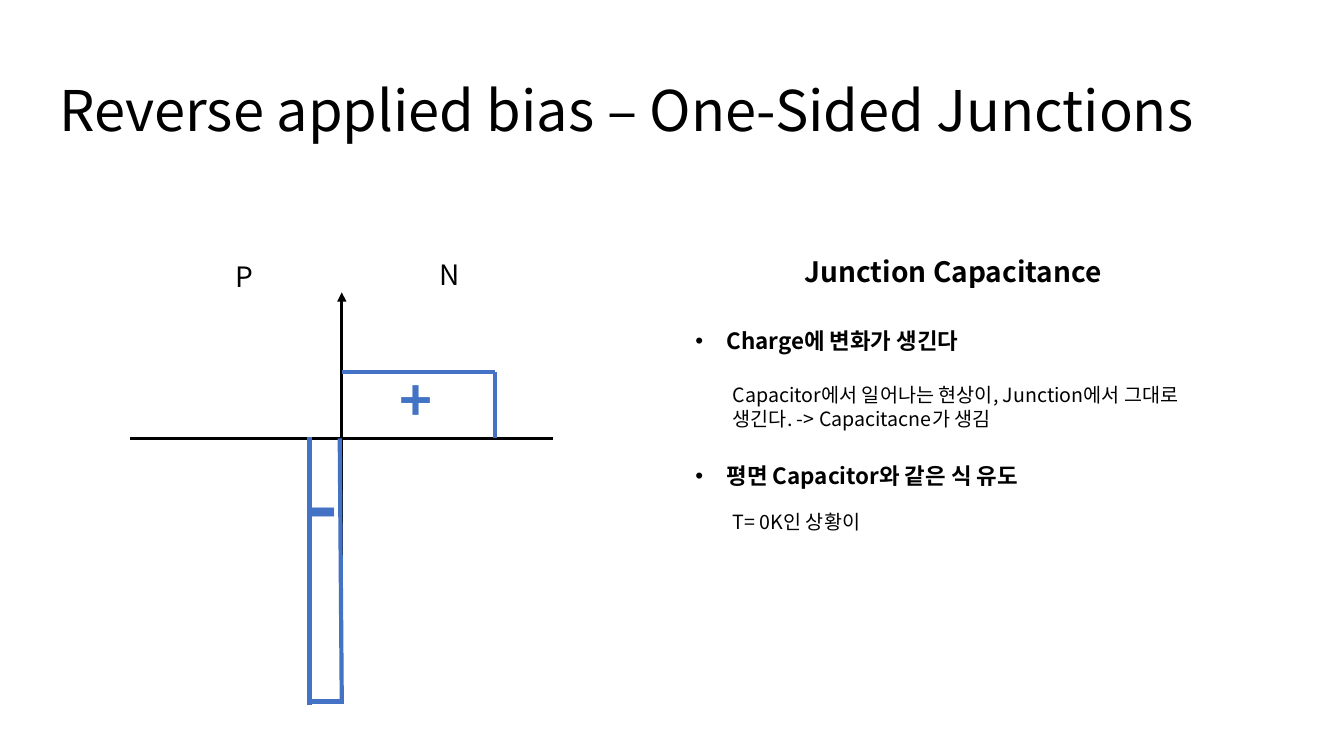
from dataclasses import dataclass

from lxml import etree
from pptx import Presentation
from pptx import util as u
from pptx.dml.color import RGBColor
from pptx.enum import shapes, text
from pptx.oxml.ns import qn

FONT = "Noto Sans CJK KR"
COLORS = {"ink": "000000", "charge": "4472C4"}
BULLET_INDENT = 0.31


@dataclass(frozen=True)
class Label:
    paragraphs: tuple[str, ...]
    left: float
    top: float
    width: float
    height: float
    size: int
    color: str = "ink"
    bold: bool = False
    bullets: bool = False
    centered: bool = False
    middle: bool = False
    line_spacing: float = 1.0
    gap: int = 0


@dataclass(frozen=True)
class Stroke:
    x1: float
    y1: float
    x2: float
    y2: float
    color: str = "charge"
    weight: float = 3
    arrow: bool = False


LABELS = (
    Label(("Reverse applied bias – One-Sided Junctions",),
          0.49, 0.4, 12.28, 1.45, 40, middle=True, line_spacing=0.9),
    Label(("Junction Capacitance",), 6.67, 2.48, 5.57, 0.44, 20,
          bold=True, centered=True),
    Label(("Charge에 변화가 생긴다", "평면 Capacitor와 같은 식 유도"),
          6.8, 3.2, 5.57, 2.26, 16, bold=True, bullets=True, gap=77),
    Label(("Capacitor에서 일어나는 현상이, Junction에서 그대로 생긴다. -> Capacitacne가 생김",),
          7.17, 3.75, 5.06, 0.57, 14),
    Label(("T= 0K인 상황이",), 7.17, 5.01, 5.06, 0.34, 14),
    Label(("+",), 3.86, 3.58, 0.49, 0.77, 40, "charge", bold=True),
    Label(("-",), 2.95, 4.44, 0.49, 1.11, 60, "charge", bold=True),
    Label(("P",), 2.24, 2.53, 0.38, 0.44, 20),
    Label(("N",), 4.26, 2.51, 0.38, 0.44, 20),
)

STROKES = (
    Stroke(1.29, 4.35, 5.48, 4.35, "ink", 2.25),
    Stroke(3.39, 5.98, 3.39, 2.9, "ink", 2.25, arrow=True),
    Stroke(3.07, 6.96, 3.41, 6.96),
    Stroke(3.39, 6.97, 3.37, 4.35),
    Stroke(3.39, 3.69, 4.91, 3.69),
    Stroke(4.91, 4.35, 4.91, 3.69),
    Stroke(3.07, 6.99, 3.07, 4.34),
)


def add_bullet(paragraph) -> None:
    properties = paragraph._p.get_or_add_pPr()
    properties.set("marL", str(u.Inches(BULLET_INDENT)))
    properties.set("indent", str(-u.Inches(BULLET_INDENT)))
    etree.SubElement(properties, qn("a:buFont"), typeface="Arial")
    etree.SubElement(properties, qn("a:buChar"), char="•")


def draw_label(slide, label: Label) -> None:
    box = slide.shapes.add_textbox(u.Inches(label.left), u.Inches(label.top),
                                   u.Inches(label.width), u.Inches(label.height))
    frame = box.text_frame
    frame.word_wrap = True
    frame.text = "\n".join(label.paragraphs)
    if label.middle:
        frame.vertical_anchor = text.MSO_ANCHOR.MIDDLE
    for index, paragraph in enumerate(frame.paragraphs):
        paragraph.line_spacing = label.line_spacing
        if label.centered:
            paragraph.alignment = text.PP_ALIGN.CENTER
        if index:
            paragraph.space_before = u.Pt(label.gap)
        if label.bullets:
            add_bullet(paragraph)
        for run in paragraph.runs:
            run.font.name = FONT
            run.font.size = u.Pt(label.size)
            run.font.bold = label.bold
            run.font.color.rgb = RGBColor.from_string(COLORS[label.color])
            etree.SubElement(run.font._element, qn("a:ea"), typeface=FONT)


def draw_stroke(slide, stroke: Stroke) -> None:
    connector = slide.shapes.add_connector(
        shapes.MSO_CONNECTOR.STRAIGHT,
        u.Inches(stroke.x1), u.Inches(stroke.y1),
        u.Inches(stroke.x2), u.Inches(stroke.y2))
    connector.line.color.rgb = RGBColor.from_string(COLORS[stroke.color])
    connector.line.width = u.Pt(stroke.weight)
    if stroke.arrow:
        etree.SubElement(connector.line._get_or_add_ln(), qn("a:tailEnd"), type="triangle")
    etree.SubElement(connector._element.spPr, qn("a:effectLst"))


def main() -> None:
    deck = Presentation()
    deck.slide_width = u.Inches(13.33)
    deck.slide_height = u.Inches(7.5)
    slide = deck.slides.add_slide(deck.slide_layouts[6])
    for stroke in STROKES:
        draw_stroke(slide, stroke)
    for label in LABELS:
        draw_label(slide, label)
    deck.save("out.pptx")


if __name__ == "__main__":
    main()
